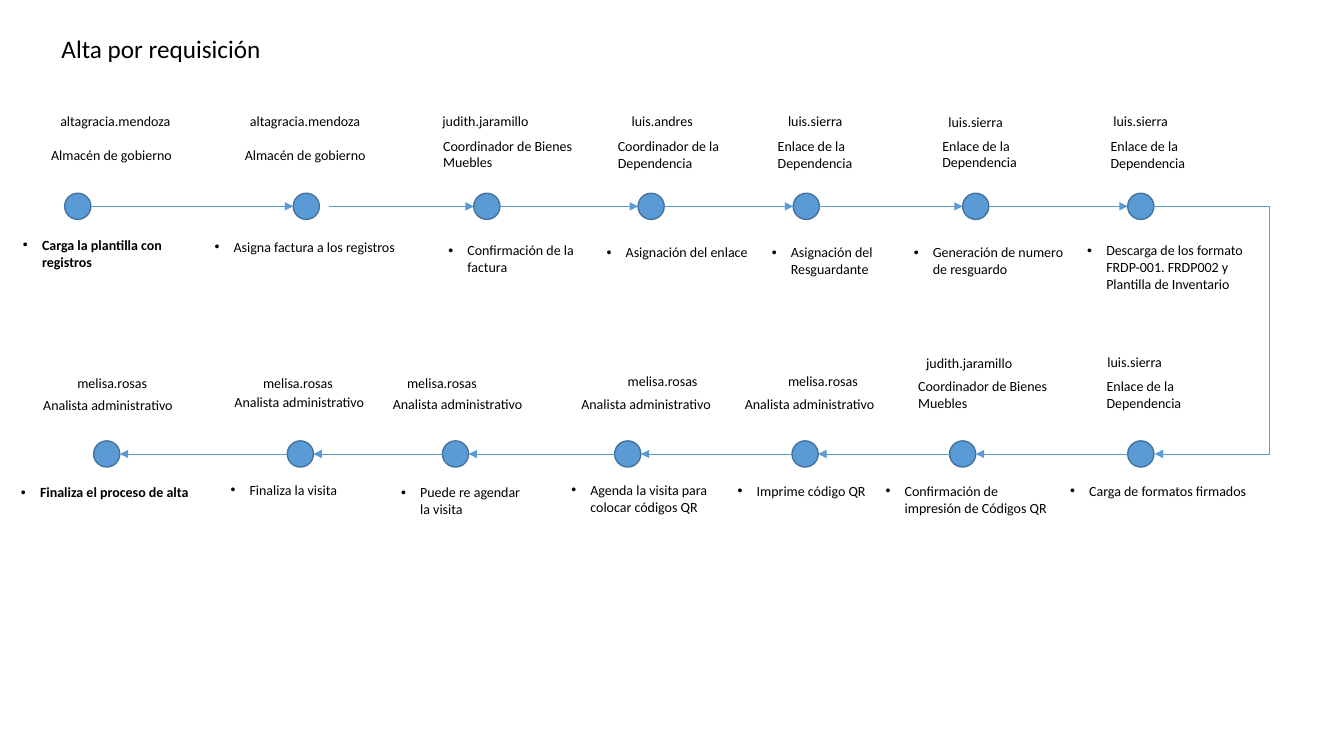
from lxml.etree import SubElement
from pptx import Presentation
from pptx.dml.color import RGBColor
from pptx.enum.shapes import MSO_CONNECTOR as LINE, MSO_SHAPE as SHAPE
from pptx.enum.text import MSO_AUTO_SIZE as AUTO
from pptx.oxml.ns import qn
from pptx.util import Cm, Pt

TITLE = "Alta por requisición"
COLORS = {"text": "000000", "node": "5B9BD5", "outline": "43739E"}
FONT = "Calibri"

STORE = ("Almacén de gobierno",)
ASSETS = ("Coordinador de Bienes", "Muebles")
HEAD = ("Coordinador de la", "Dependencia")
LIAISON = ("Enlace de la", "Dependencia")
ANALYST = ("Analista administrativo",)

# Box widths in cm
PERSON_WIDTH = {"altagracia.mendoza": 3.35, "judith.jaramillo": 2.72,
                "luis.andres": 2.08, "luis.sierra": 1.9, "melisa.rosas": 2.29}
ROLE_WIDTH = {STORE: 3.61, ASSETS: 3.81, HEAD: 3.1, LIAISON: 2.41, ANALYST: 3.84}

# Node left, person (name, left, top), role (lines, left, top),
# task (lines, left, top, width), all in cm and in process order
REGISTRATION = [
    (1.63, ("altagracia.mendoza", 1.27, 2.72), (STORE, 1.04, 3.56),
     (("Carga la plantilla con", "registros"), 0.33, 5.84, 4.14)),
    (7.39, ("altagracia.mendoza", 6.05, 2.72), (STORE, 5.92, 3.56),
     (("Asigna factura a los registros",), 5.16, 5.89, 5.13)),
    (11.94, ("judith.jaramillo", 10.9, 2.72), (ASSETS, 10.92, 3.33),
     (("Confirmación de la", "factura"), 11.05, 5.97, 3.78)),
    (16.08, ("luis.andres", 15.67, 2.72), (HEAD, 15.32, 3.35),
     (("Asignación del enlace",), 15.04, 6.02, 4.09)),
    (19.99, ("luis.sierra", 19.61, 2.72), (LIAISON, 19.35, 3.35),
     (("Asignación del", "Resguardante"), 19.2, 6.02, 3.15)),
    (24.26, ("luis.sierra", 23.65, 2.74), (LIAISON, 23.5, 3.33),
     (("Generación de numero", "de resguardo"), 22.78, 6.02, 4.42)),
    (28.42, ("luis.sierra", 27.81, 2.72), (LIAISON, 27.74, 3.35),
     (("Descarga de los formato", "FRDP-001. FRDP002 y", "Plantilla de Inventario"),
      27.15, 5.97, 4.57)),
]
LABELLING = [
    (28.42, ("luis.sierra", 27.66, 8.79), (LIAISON, 27.64, 9.4),
     (("Carga de formatos firmados",), 26.72, 12.04, 5.03)),
    (23.93, ("judith.jaramillo", 23.09, 8.81), (ASSETS, 22.89, 9.4),
     (("Confirmación de", "impresión de Códigos QR"), 22.07, 12.04, 4.62)),
    (19.96, ("melisa.rosas", 19.61, 9.27), (ANALYST, 18.52, 9.83),
     (("Imprime código QR",), 18.34, 12.04, 3.78)),
    (15.49, ("melisa.rosas", 15.57, 9.27), (ANALYST, 14.4, 9.83),
     (("Agenda la visita para", "colocar códigos QR"), 14.15, 12.01, 4.06)),
    (11.15, ("melisa.rosas", 10.01, 9.3), (ANALYST, 9.65, 9.83),
     (("Puede re agendar", "la visita"), 9.86, 12.07, 3.63)),
    (7.24, ("melisa.rosas", 6.38, 9.3), (ANALYST, 5.66, 9.78),
     (("Finaliza la visita",), 5.56, 12.01, 3.23)),
    (2.36, ("melisa.rosas", 1.7, 9.3), (ANALYST, 0.84, 9.86),
     (("Finaliza el proceso de alta",), 0.28, 12.07, 4.8)),
]
ROWS = [(5.2, REGISTRATION), (11.44, LABELLING)]  # centre line of each row
NODE = 0.66
TURN_X = 32
WIDE_GAP = {(0, 1): 0.23}  # (row, step): arrow starts this far from its node

deck = Presentation()
deck.slide_width, deck.slide_height = Cm(33.87), Cm(19.05)
page = deck.slides.add_slide(deck.slide_layouts[6])


def color(name):
    return RGBColor.from_string(COLORS[name])


def add_text(lines, left, top, width, size=10, bold=False, bullet=False):
    """Add one paragraph per line; a bullet marks the first, the rest align with it."""
    height = 0.26 + len(lines) * size * 0.043
    box = page.shapes.add_textbox(Cm(left), Cm(top), Cm(width), Cm(height))
    frame = box.text_frame
    frame.word_wrap = False
    frame.auto_size = AUTO.SHAPE_TO_FIT_TEXT
    for number, line in enumerate(lines):
        para = frame.paragraphs[0] if number == 0 else frame.add_paragraph()
        span = para.add_run()
        span.text = line
        span.font.name, span.font.size, span.font.bold = FONT, Pt(size), bold
        span.font.color.rgb = color("text")
        if bullet:
            props = para._p.get_or_add_pPr()
            props.set("marL", str(Cm(0.48)))
            props.set("indent", str(Cm(0 if number else -0.48)))
            if number == 0:
                SubElement(props, qn("a:buFont"), typeface="Arial")
                SubElement(props, qn("a:buChar"), char="•")


def add_node(left, middle):
    node = page.shapes.add_shape(SHAPE.OVAL, Cm(left), Cm(middle - NODE / 2), Cm(NODE), Cm(NODE))
    node.shadow.inherit = False
    node.fill.solid()
    node.fill.fore_color.rgb = color("node")
    node.line.color.rgb = color("outline")
    node.line.width = Pt(1)


def add_arrow(start, end, kind=LINE.STRAIGHT):
    arrow = page.shapes.add_connector(kind, *map(Cm, start + end))
    arrow.line.color.rgb = color("node")
    arrow.line.width = Pt(0.5)
    SubElement(arrow.line._get_or_add_ln(), qn("a:tailEnd"), type="triangle")
    SubElement(arrow._element.spPr, qn("a:effectLst"))
    return arrow


def add_turn(start, end):
    """Lead from one row to the next by way of TURN_X."""
    turn = add_arrow(start, end, LINE.ELBOW)
    bend = round((TURN_X - start[0]) / (end[0] - start[0]) * 100000)
    guides = turn._element.spPr.find(qn("a:prstGeom")).find(qn("a:avLst"))
    SubElement(guides, qn("a:gd"), name="adj1", fmla=f"val {bend}")


add_text([TITLE], 1.3, 0.71, 5.74, size=18)

for row, (middle, steps) in enumerate(ROWS):
    for step, (left, person, role, task) in enumerate(steps):
        name, *place = person
        add_text([name], *place, PERSON_WIDTH[name])
        add_text(*role, ROLE_WIDTH[role[0]])
        ends_process = (row, step) in ((0, 0), (1, len(steps) - 1))
        add_text(*task, bold=ends_process, bullet=True)
        add_node(left, middle)
        if step + 1 < len(steps):
            following = steps[step + 1][0]
            if following > left:
                start, end = left + NODE + WIDE_GAP.get((row, step), 0), following
            else:
                start, end = left, following + NODE
            add_arrow((start, middle), (end, middle))

right_edge = REGISTRATION[-1][0] + NODE
add_turn((right_edge, ROWS[0][0]), (right_edge + 0.02, ROWS[1][0]))

deck.save("out.pptx")
